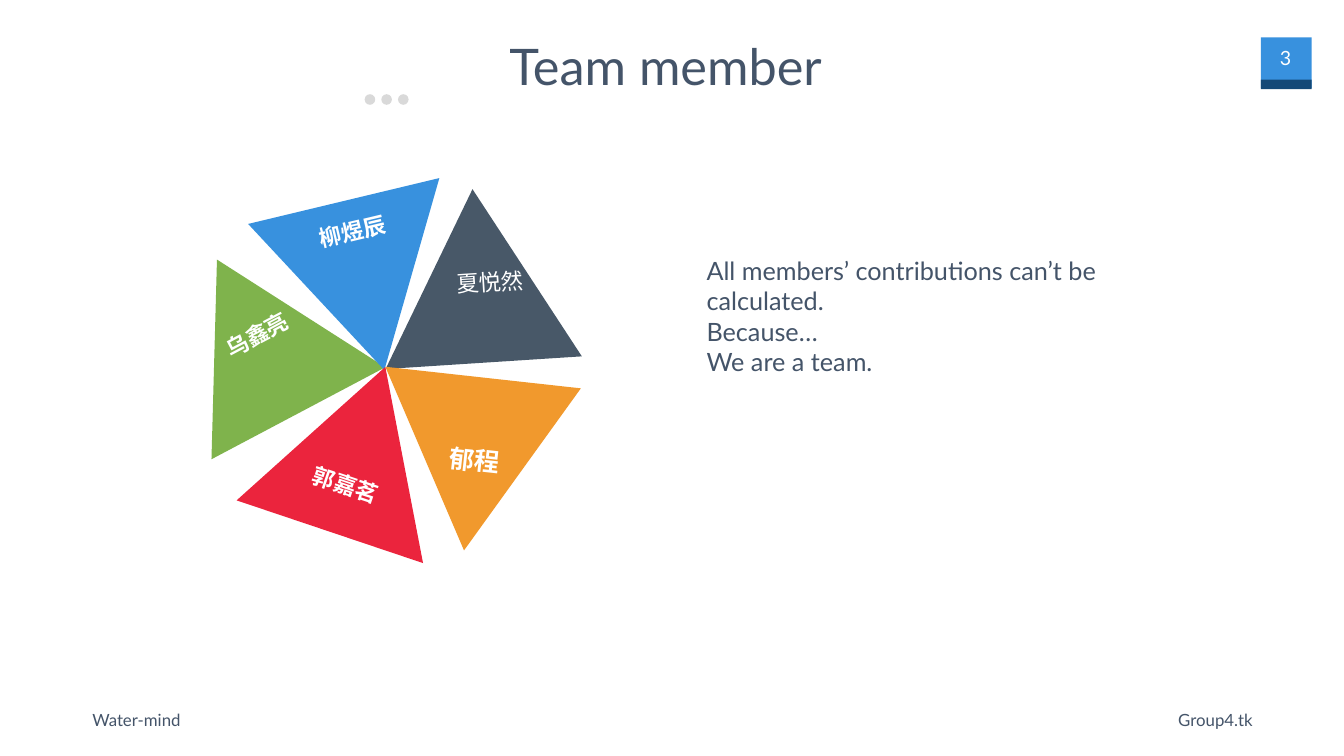
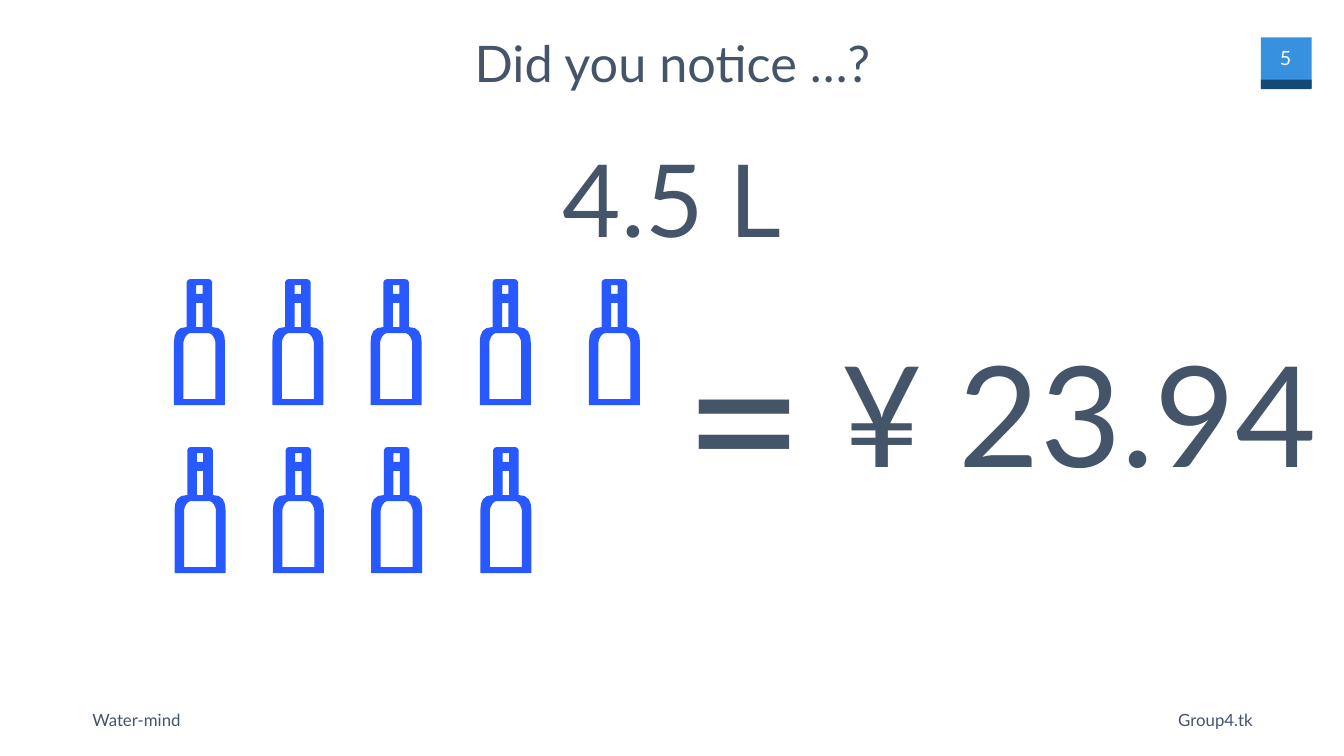
from dataclasses import dataclass

from pptx import Presentation
from pptx.dml.color import RGBColor
from pptx.enum import shapes as kinds, text as txt
from pptx.util import Pt


@dataclass(frozen=True)
class Theme:
    font: str = "Lato"
    ink: str = "445469"
    white: str = "FFFFFF"
    blue: str = "3891DE"
    navy: str = "144977"
    grey: str = "D9D9D9"
    green: str = "7FB34C"
    slate: str = "485868"
    red: str = "EB243D"
    orange: str = "F1992D"
    bottle: str = "2858FF"
    footer: int = 24
    number: int = 28
    member: int = 32
    body: int = 36
    title: int = 72
    volume: int = 144
    price: int = 200
    equals: int = 300


theme = Theme()
CENTER, RIGHT, LEFT = txt.PP_ALIGN.CENTER, txt.PP_ALIGN.RIGHT, txt.PP_ALIGN.LEFT
TOP, MIDDLE, BOTTOM = txt.MSO_ANCHOR.TOP, txt.MSO_ANCHOR.MIDDLE, txt.MSO_ANCHOR.BOTTOM


def write_text(shapes, content, box, size, color=theme.ink, align=LEFT, anchor=MIDDLE,
               inset=0, wrap=False, grow=True, bold=False, rotation=0,
               line_spacing=None, before=None):
    holder = shapes.add_textbox(*map(Pt, box))
    holder.rotation = rotation
    frame = holder.text_frame
    frame.word_wrap = wrap
    frame.auto_size = txt.MSO_AUTO_SIZE.SHAPE_TO_FIT_TEXT if grow else txt.MSO_AUTO_SIZE.NONE
    frame.vertical_anchor = anchor
    frame.margin_left = frame.margin_right = Pt(inset)
    frame.margin_top = frame.margin_bottom = Pt(inset)
    frame.text = content
    for paragraph in frame.paragraphs:
        paragraph.alignment = align
        paragraph.line_spacing = line_spacing
        paragraph.space_before = None if before is None else Pt(before)
        font = paragraph.runs[0].font
        font.name, font.size, font.bold = theme.font, Pt(size), bold
        font.color.rgb = RGBColor.from_string(color)


def paint(shape, color):
    shape.fill.solid()
    shape.fill.fore_color.rgb = RGBColor.from_string(color)
    shape.line.fill.background()
    shape.shadow.inherit = False


deck = Presentation()
deck.slide_width, deck.slide_height = Pt(1918.8), Pt(1080)

pages = []
for number, title, title_box in [
    ("3", "Team member", (717.8, 50.4, 465.1, 87.1)),
    ("5", "Did you notice …?", (674.6, 46.1, 571, 85.7)),
]:
    shapes = deck.slides.add_slide(deck.slide_layouts[6]).shapes
    for top, height, color in [(53.3, 72.7, theme.blue), (113.8, 13.7, theme.navy)]:
        band = shapes.add_shape(kinds.MSO_SHAPE.RECTANGLE, Pt(1800), Pt(top), Pt(72.7), Pt(height))
        paint(band, color)
    write_text(shapes, "Group4.tk", (1594.8, 1013.8, 193.7, 28.8), theme.footer, align=RIGHT)
    write_text(shapes, "Water-mind", (128.2, 1010.2, 288, 36), theme.footer,
               anchor=TOP, inset=3.6, wrap=True)
    write_text(shapes, number, (1811.5, 59, 47.5, 48.2), theme.number, color=theme.white,
               align=CENTER, anchor=TOP, inset=7.2)
    write_text(shapes, title, title_box, theme.title, align=CENTER)
    pages.append(shapes)

team, cost = pages

dots = team.add_group_shape().shapes
for step in range(3):
    dot = dots.add_shape(kinds.MSO_SHAPE.OVAL, Pt(520.6 + 23.8 * step), Pt(134.6), Pt(15.1), Pt(15.1))
    paint(dot, theme.grey)

wedge_width, wedge_height = 280.8, 248.4
members = [
    ("乌鑫亮", theme.green, (227.5, 356.4), True, 332.1, (227.5, 456.5, 46.8), {}),
    ("柳煜辰", theme.blue, (379.4, 283.7), False, 346.5, (358.6, 267.8, 88.6),
     {"anchor": BOTTOM, "grow": False}),
    ("夏悦然", theme.slate, (542.2, 270), True, 356.3, (559.4, 381.6, 46.8), {"bold": False}),
    ("郭嘉茗", theme.red, (370.1, 517.7), True, 18.6, (352.1, 671, 46.8), {}),
    ("郁程", theme.orange, (535.7, 538.6), False, 6.3, (537.1, 639.4, 41),
     {"size": theme.body, "grow": False}),
]
for name, color, (left, top), points_up, rotation, (label_left, label_top, label_height), changes in members:
    member = team.add_group_shape().shapes
    base, apex = (top + wedge_height, top) if points_up else (top, top + wedge_height)
    outline = member.build_freeform(Pt(left), Pt(base))
    outline.add_line_segments([(Pt(left + wedge_width / 2), Pt(apex)),
                               (Pt(left + wedge_width), Pt(base))])
    wedge = outline.convert_to_shape()
    wedge.rotation = rotation
    paint(wedge, color)
    label = {"size": theme.member, "color": theme.white, "align": CENTER, "inset": 5.8,
             "wrap": True, "bold": True, "line_spacing": 0.9, "before": 10} | changes
    write_text(member, name, (label_left, label_top, wedge_width, label_height),
               rotation=rotation, **label)

write_text(team, "All members’ contributions can’t be calculated.\nBecause…\nWe are a team.",
           (1004.4, 360, 618.5, 182.9), theme.body, inset=4.3, wrap=True)

write_text(cost, "4.5 L", (799.9, 192.2, 319, 180), theme.volume,
           align=CENTER, anchor=TOP, inset=3.6)

right_halves = [
    [(13.5, 0), (16.5, 1), (18.2, 4.3), (18.2, 68.4), (26.9, 69.9), (32.5, 74.3),
     (35.5, 81.1), (36.4, 90), (36.4, 180)],
    [(4.6, 8.6), (4.6, 21)],
    [(4.6, 33.8), (4.6, 68.4)],
    [(13.6, 77), (17, 78.5), (19.9, 81.9), (22, 86.4), (22.8, 90), (22.8, 171.4)],
]
bottle_axes = [284.8, 425.2, 565.6, 721.4, 877.3]
for count, shift, top in [(5, 0, 398.9), (4, 0.8, 638.8)]:
    for axis in bottle_axes[:count]:
        bottle = None
        for half in right_halves:
            mirrored = [(-x, y) for x, y in reversed(half)]
            corners = [(Pt(axis + shift + x), Pt(top + y)) for x, y in half + mirrored]
            if bottle is None:
                bottle = cost.build_freeform(*corners[0])
            else:
                bottle.move_to(*corners[0])
            bottle.add_line_segments(corners[1:])
        paint(bottle.convert_to_shape(), theme.bottle)

write_text(cost, "=", (971.3, 403.9, 182.9, 367.9), theme.equals, inset=4.3)
write_text(cost, "¥ 23.94", (1197.4, 463.7, 733.7, 247.7), theme.price, inset=4.3)

deck.save("out.pptx")
